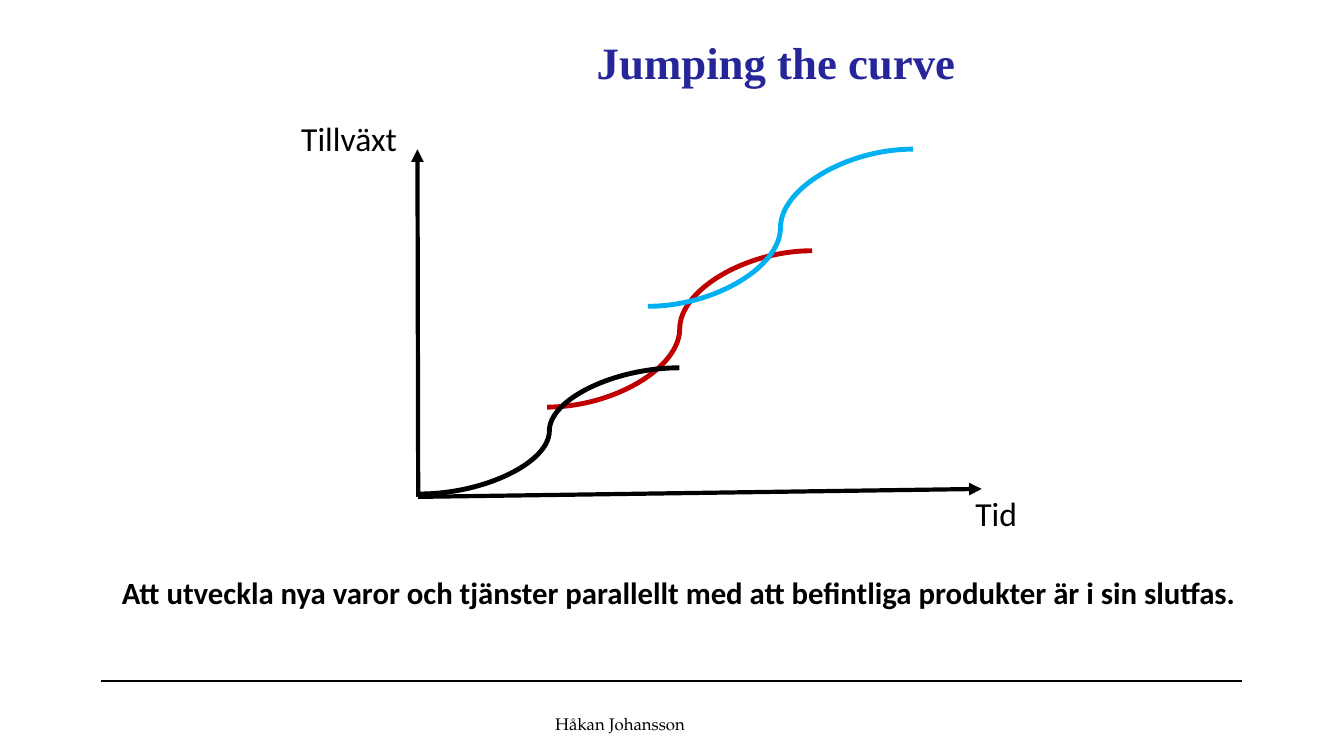
from dataclasses import dataclass

from lxml import etree
from pptx import Presentation
from pptx.dml.color import RGBColor
from pptx.enum.shapes import MSO_CONNECTOR
from pptx.enum.text import MSO_ANCHOR, PP_ALIGN
from pptx.oxml.ns import qn
from pptx.util import Cm, Pt

STRAIGHT, CURVE = MSO_CONNECTOR.STRAIGHT, MSO_CONNECTOR.CURVE
TOP, BOTTOM = MSO_ANCHOR.TOP, MSO_ANCHOR.BOTTOM
LEFT, CENTER = PP_ALIGN.LEFT, PP_ALIGN.CENTER


@dataclass(frozen=True)
class Theme:
    """Colours, fonts, type sizes and line widths."""

    black: str = "000000"
    title_blue: str = "262699"
    red: str = "C00000"
    sky: str = "00B0F0"
    body_font: str = "Calibri"
    title_font: str = "Times New Roman"
    footer_font: str = "TeX Gyre Pagella"
    title_size: float = 32
    label_size: float = 24
    message_size: float = 22
    footer_size: float = 12
    rule_width: float = 1.5
    axis_width: float = 3
    curve_width: float = 3.5


def write_text(frame, text, *, size, font, color, bold=False, align=LEFT):
    """Write one formatted paragraph into a text frame."""
    paragraph = frame.paragraphs[0]
    paragraph.alignment = align
    run = paragraph.add_run()
    run.text = text
    run.font.size = Pt(size)
    run.font.name = font
    run.font.bold = bold
    run.font.color.rgb = RGBColor.from_string(color)


class SlideBuilder:
    """Adds styled elements to the current slide, in centimetres."""

    def __init__(self, slide, theme):
        """Keep the slide and its theme."""
        self.slide = slide
        self.theme = theme

    def text(self, text, box, *, anchor=TOP, **text_format):
        """Add a wrapping text box at left, top, width, height."""
        shape = self.slide.shapes.add_textbox(*map(Cm, box))
        frame = shape.text_frame
        frame.word_wrap = True
        frame.vertical_anchor = anchor
        style = {"font": self.theme.body_font, "color": self.theme.black}
        write_text(frame, text, **(style | text_format))

    def line(self, start, end, *, width, color=None, kind=STRAIGHT):
        """Add a connector without shadow and return it."""
        connector = self.slide.shapes.add_connector(kind, *map(Cm, start + end))
        connector.line.width = Pt(width)
        connector.line.color.rgb = RGBColor.from_string(color or self.theme.black)
        properties = connector._element.spPr
        etree.SubElement(properties, qn("a:effectLst"))
        return connector

    def axis(self, start, end):
        """Add a straight axis with an arrowhead at its end."""
        connector = self.line(start, end, width=self.theme.axis_width)
        outline = connector.line._get_or_add_ln()
        etree.SubElement(outline, qn("a:tailEnd"), type="triangle")

    def curve(self, start, end, color):
        """Add one S-shaped growth curve."""
        self.line(start, end, width=self.theme.curve_width, color=color, kind=CURVE)


def main():
    """Build and save the growth curve slide."""
    presentation = Presentation()
    presentation.slide_width = Cm(33.87)
    presentation.slide_height = Cm(19.05)
    slide = presentation.slides.add_slide(presentation.slide_layouts[6])
    theme = Theme()
    builder = SlideBuilder(slide, theme)

    builder.line((2.54, 17.15), (31.31, 17.15), width=theme.rule_width)
    builder.text("Jumping the curve", (13.16, 0.76, 12.8, 1.63), size=theme.title_size,
                 font=theme.title_font, color=theme.title_blue, bold=True, align=CENTER)
    builder.text("Håkan Johansson", (13.74, 17.32, 3.81, 1.3), anchor=BOTTOM,
                 size=theme.footer_size, font=theme.footer_font)

    origin = (10.54, 12.52)
    builder.curve((13.79, 10.26), (20.47, 6.32), theme.red)
    for axis_end in ((24.74, 12.32), (10.52, 3.76)):
        builder.axis(origin, axis_end)
    builder.curve((16.33, 7.72), (23.01, 3.76), theme.sky)
    builder.curve((10.57, 12.45), (17.12, 9.27), theme.black)

    for label, left, top in (("Tid", 24.33, 12.29), ("Tillväxt", 7.34, 2.84)):
        builder.text(label, (left, top, 3.23, 1.3), size=theme.label_size)
    builder.text("Att utveckla nya varor och tjänster parallellt med att befintliga "
                 "produkter är i sin slutfas.", (2.82, 14.33, 29.44, 1.19),
                 size=theme.message_size, bold=True)
    presentation.save("out.pptx")


if __name__ == "__main__":
    main()
